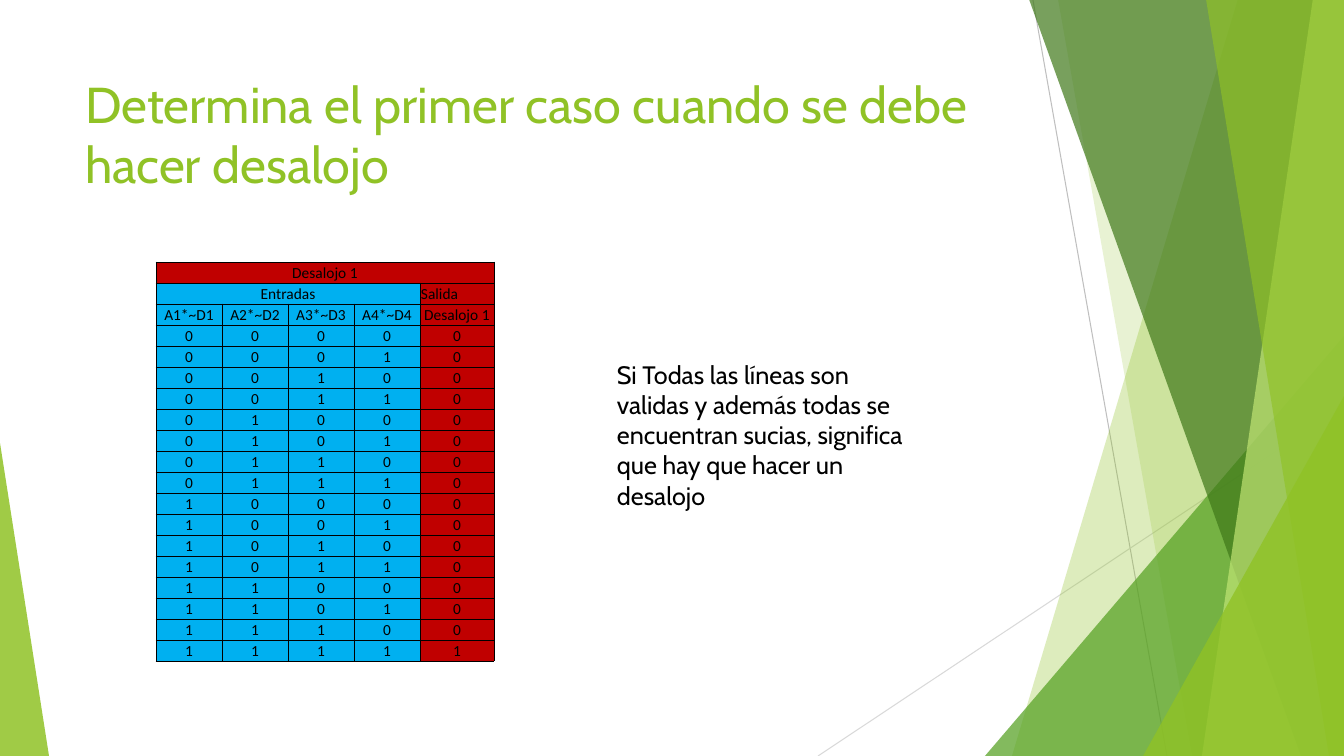
from dataclasses import dataclass
from itertools import product

from lxml.etree import SubElement
from pptx import Presentation
from pptx.dml.color import RGBColor
from pptx.enum.shapes import MSO_CONNECTOR, MSO_SHAPE
from pptx.enum.text import MSO_ANCHOR, PP_ALIGN
from pptx.oxml.ns import qn
from pptx.util import Pt

SLIDE_WIDTH, SLIDE_HEIGHT = 1344, 756
SCALE = 12192000 / SLIDE_WIDTH


@dataclass(frozen=True)
class Theme:
    """Colours, fonts and type sizes of the slide."""
    lime: str = "90C226"
    pale_lime: str = "C0E474"
    green: str = "54A021"
    forest: str = "3F7819"
    ray: str = "BFBFBF"
    faint_ray: str = "D9D9D9"
    ink: str = "000000"
    inputs: str = "00B0F0"
    output: str = "C00000"
    font: str = "Cabin"
    table_font: str = "Calibri"
    title_size: int = 36
    body_size: int = 18
    table_size: int = 11


THEME = Theme()


def px(length):
    """Turn pixels into EMU."""
    return round(length * SCALE)


def write(frame, text, *, size, font=THEME.font, color=THEME.ink,
          align=PP_ALIGN.LEFT, anchor=MSO_ANCHOR.TOP):
    """Put one formatted paragraph into a text frame."""
    frame.word_wrap = True
    frame.vertical_anchor = anchor
    paragraph = frame.paragraphs[0]
    paragraph.alignment = align
    run = paragraph.add_run()
    run.text = text
    run.font.size = Pt(size)
    run.font.name = font
    run.font.color.rgb = RGBColor.from_string(color)


def paint(facet, color, opacity):
    """Give a facet a translucent fill without outline or shadow."""
    facet.shadow.inherit = False
    facet.line.fill.background()
    facet.fill.solid()
    facet.fill.fore_color.rgb = RGBColor.from_string(color)
    tint = facet._element.spPr.find(qn("a:solidFill")).find(qn("a:srgbClr"))
    SubElement(tint, qn("a:alpha"), val=str(opacity * 1000))


def add_band(shapes, top_left, bottom_left, color, opacity):
    """Draw a full-height band from a slanted edge to the right side."""
    outline = shapes.build_freeform(top_left, -1, scale=SCALE)
    outline.add_line_segments([(SLIDE_WIDTH, -1), (SLIDE_WIDTH, SLIDE_HEIGHT),
                               (bottom_left, SLIDE_HEIGHT)], close=True)
    paint(outline.convert_to_shape(), color, opacity)


def add_corner(shapes, left, top, width, peak, color, opacity):
    """Draw a triangle standing on the lower edge of the slide."""
    corner = shapes.add_shape(MSO_SHAPE.ISOSCELES_TRIANGLE, px(left), px(top),
                              px(width), px(SLIDE_HEIGHT - top))
    corner.adjustments[0] = peak
    paint(corner, color, opacity)


def add_ray(shapes, start, end, color):
    """Draw a thin straight line."""
    ray = shapes.add_connector(MSO_CONNECTOR.STRAIGHT,
                               *map(px, start), *map(px, end))
    ray.line.width = Pt(0.75)
    ray.line.color.rgb = RGBColor.from_string(color)
    SubElement(ray._element.spPr, qn("a:effectLst"))


def add_backdrop(shapes):
    """Draw the faceted backdrop from back to front."""
    add_ray(shapes, (1033, 0), (1167, SLIDE_HEIGHT), THEME.ray)
    add_ray(shapes, (SLIDE_WIDTH, 406), (818, SLIDE_HEIGHT), THEME.faint_ray)
    add_band(shapes, 1238, 1012, THEME.lime, 30)
    add_band(shapes, 1058, 1192, THEME.lime, 20)
    add_corner(shapes, 985, 336, 359, 1, THEME.green, 72)
    add_band(shapes, 1029, 1301, THEME.forest, 70)
    add_band(shapes, 1313, 1202, THEME.pale_lime, 70)
    add_band(shapes, 1206, 1329, THEME.lime, 65)
    add_corner(shapes, 1143, 396, 201, 1, THEME.lime, 80)
    add_corner(shapes, 0, 443, 49, 0, THEME.lime, 85)


def format_cell(cell, fill):
    """Set the fill, margins and borders of a table cell."""
    cell.margin_left = cell.margin_right = cell.margin_top = px(1)
    cell.margin_bottom = 0
    properties = cell._tc.get_or_add_tcPr()
    for side in ("a:lnL", "a:lnR", "a:lnT", "a:lnB"):
        border = SubElement(properties, qn(side), w=str(Pt(0.5)))
        SubElement(SubElement(border, qn("a:solidFill")), qn("a:srgbClr"),
                   val=THEME.ink)
    cell.fill.solid()
    cell.fill.fore_color.rgb = RGBColor.from_string(fill)


def add_truth_table(shapes, left, top, widths, row_height):
    """Add the truth table of the first eviction case."""
    rows = [
        ("Desalojo 1", "", "", "", ""),
        ("Entradas", "", "", "", "Salida"),
        ("A1*~D1", "A2*~D2", "A3*~D3", "A4*~D4", "Desalojo 1"),
    ]
    for bits in product("01", repeat=4):
        rows.append((*bits, min(bits)))
    table = shapes.add_table(len(rows), len(widths), px(left), px(top),
                             px(sum(widths)), px(row_height * len(rows))).table
    table.first_row = table.horz_banding = False
    for column, width in zip(table.columns, widths):
        column.width = px(width)
    for row_index, texts in enumerate(rows):
        table.rows[row_index].height = px(row_height)
        for column_index, text in enumerate(texts):
            cell = table.cell(row_index, column_index)
            is_output = row_index == 0 or column_index == 4
            format_cell(cell, THEME.output if is_output else THEME.inputs)
            if text:
                write(cell.text_frame, text, size=THEME.table_size,
                      font=THEME.table_font,
                      align=PP_ALIGN.LEFT if text == "Salida" else PP_ALIGN.CENTER)
                cell.vertical_anchor = (MSO_ANCHOR.BOTTOM if row_index < 2
                                        else MSO_ANCHOR.MIDDLE)
    table.cell(0, 0).merge(table.cell(0, 4))
    table.cell(1, 0).merge(table.cell(1, 3))


def add_title(slide, text, left, top, width, height):
    """Place and write the slide title."""
    title = slide.shapes.title
    title.left, title.top = px(left), px(top)
    title.width, title.height = px(width), px(height)
    write(title.text_frame, text, size=THEME.title_size, color=THEME.lime)


def main():
    """Build and save the slide."""
    deck = Presentation()
    deck.slide_width, deck.slide_height = px(SLIDE_WIDTH), px(SLIDE_HEIGHT)
    slide = deck.slides.add_slide(deck.slide_layouts.get_by_name("Title Only"))
    add_backdrop(slide.shapes)
    add_title(slide, "Determina el primer caso cuando se debe hacer desalojo",
              75, 68, 948, 145)
    explanation = slide.shapes.add_textbox(px(607), px(354), px(308), px(163))
    write(explanation.text_frame,
          "Si Todas las líneas son validas y además todas se encuentran sucias, "
          "significa que hay que hacer un desalojo", size=THEME.body_size)
    add_truth_table(slide.shapes, 156, 262, (66, 66, 66, 66, 74), 21)
    deck.save("out.pptx")


if __name__ == "__main__":
    main()
